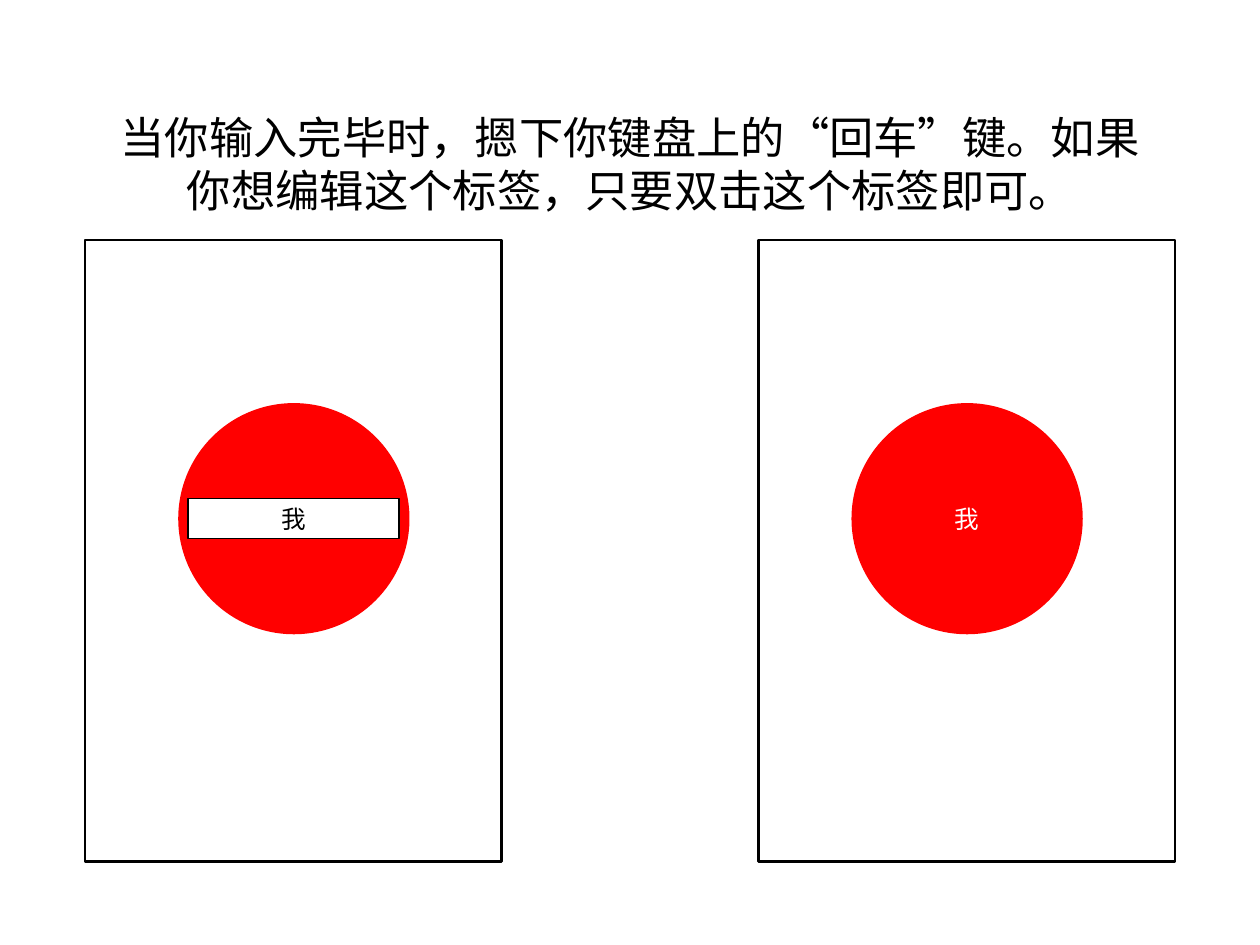
from dataclasses import dataclass

from pptx import Presentation
from pptx.dml.color import RGBColor
from pptx.enum.shapes import MSO_SHAPE
from pptx.enum.text import MSO_ANCHOR, MSO_AUTO_SIZE, PP_ALIGN
from pptx.util import Cm, Pt

RECT, OVAL = MSO_SHAPE.RECTANGLE, MSO_SHAPE.OVAL
MIDDLE, CENTER, FIXED = MSO_ANCHOR.MIDDLE, PP_ALIGN.CENTER, MSO_AUTO_SIZE.NONE
FONT = "Roboto"
BLACK, WHITE, RED = "000000", "FFFFFF", "FF0000"


@dataclass
class Screen:
    left: float
    ink: str
    boxed: bool


SCREENS = [Screen(2.44, BLACK, True), Screen(21.74, WHITE, False)]


def color(code: str) -> RGBColor:
    return RGBColor.from_string(code)


def write(shape, text: str, size: int, ink: str) -> None:
    frame = shape.text_frame
    frame.text = text
    frame.word_wrap = True
    frame.auto_size = FIXED
    frame.vertical_anchor = MIDDLE
    frame.margin_left = frame.margin_right = Cm(0.15)
    frame.margin_top = frame.margin_bottom = Cm(0.15)
    para = frame.paragraphs[0]
    para.alignment = CENTER
    font = para.runs[0].font
    font.name, font.size = FONT, Pt(size)
    font.color.rgb = color(ink)


def draw(slide, kind, box: tuple, fill: str = "", width: float = 0):
    """Add a shape; an empty fill or a zero line width means none."""
    shape = slide.shapes.add_shape(kind, *map(Cm, box))
    shape.shadow.inherit = False
    if fill:
        shape.fill.solid()
        shape.fill.fore_color.rgb = color(fill)
    else:
        shape.fill.background()
    if width:
        shape.line.color.rgb = color(BLACK)
        shape.line.width = Pt(width)
    else:
        shape.line.fill.background()
    return shape


def draw_screen(slide, screen: Screen) -> None:
    left = screen.left
    draw(slide, OVAL, (left + 2.67, 11.56, 6.63, 6.63), RED)
    draw(slide, RECT, (left, 6.88, 11.94, 17.83), width=2)
    box = (left + 2.95, 14.3, 6.05, 1.14)
    if screen.boxed:
        label = draw(slide, RECT, box, WHITE, 1)
    else:
        label = slide.shapes.add_textbox(*map(Cm, box))
    write(label, "我", 20, screen.ink)


def main() -> None:
    deck = Presentation()
    deck.slide_width, deck.slide_height = Cm(36.12), Cm(27.1)
    slide = deck.slides.add_slide(deck.slide_layouts[5])
    title = slide.shapes.title
    title.left, title.top = Cm(2.72), Cm(3)
    title.width, title.height = Cm(30.68), Cm(3.35)
    write(
        title,
        "当你输入完毕时，摁下你键盘上的“回车”键。"
        "如果你想编辑这个标签，只要双击这个标签即可。",
        36,
        BLACK,
    )
    for screen in SCREENS:
        draw_screen(slide, screen)
    deck.save("out.pptx")


if __name__ == "__main__":
    main()
